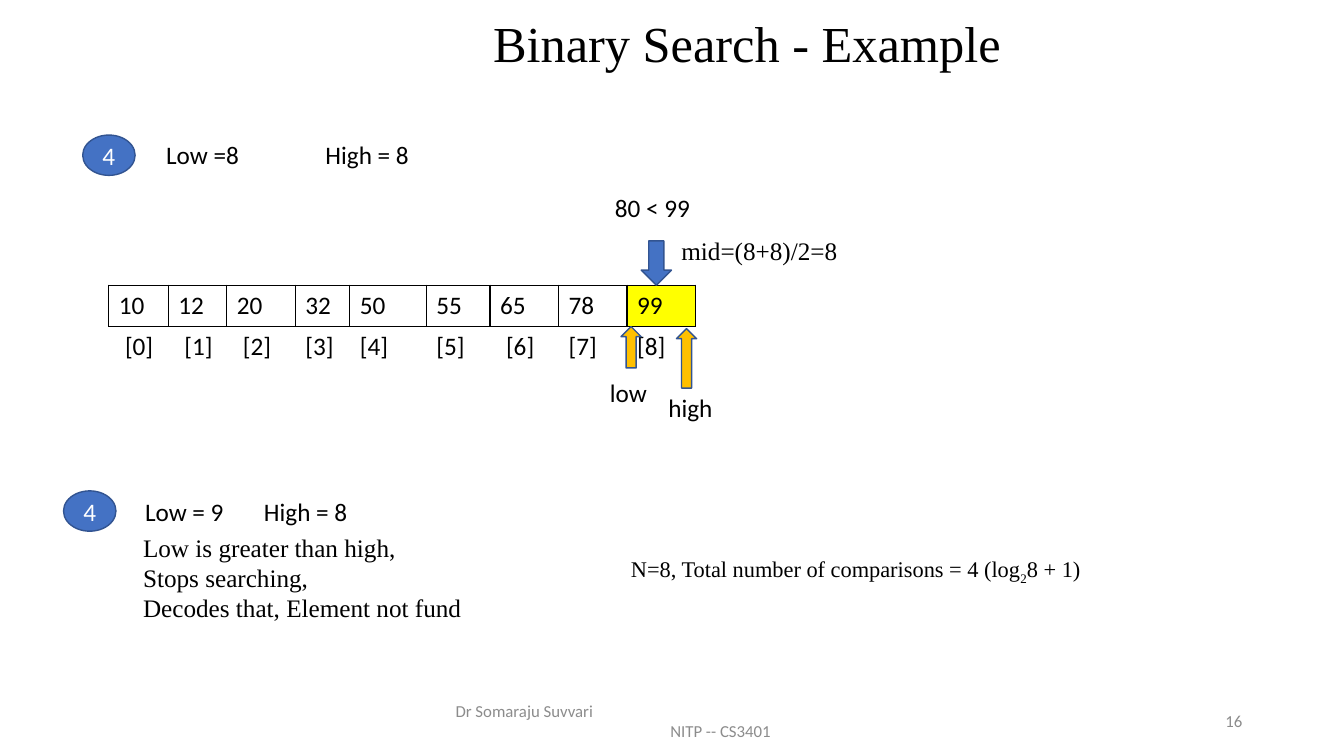
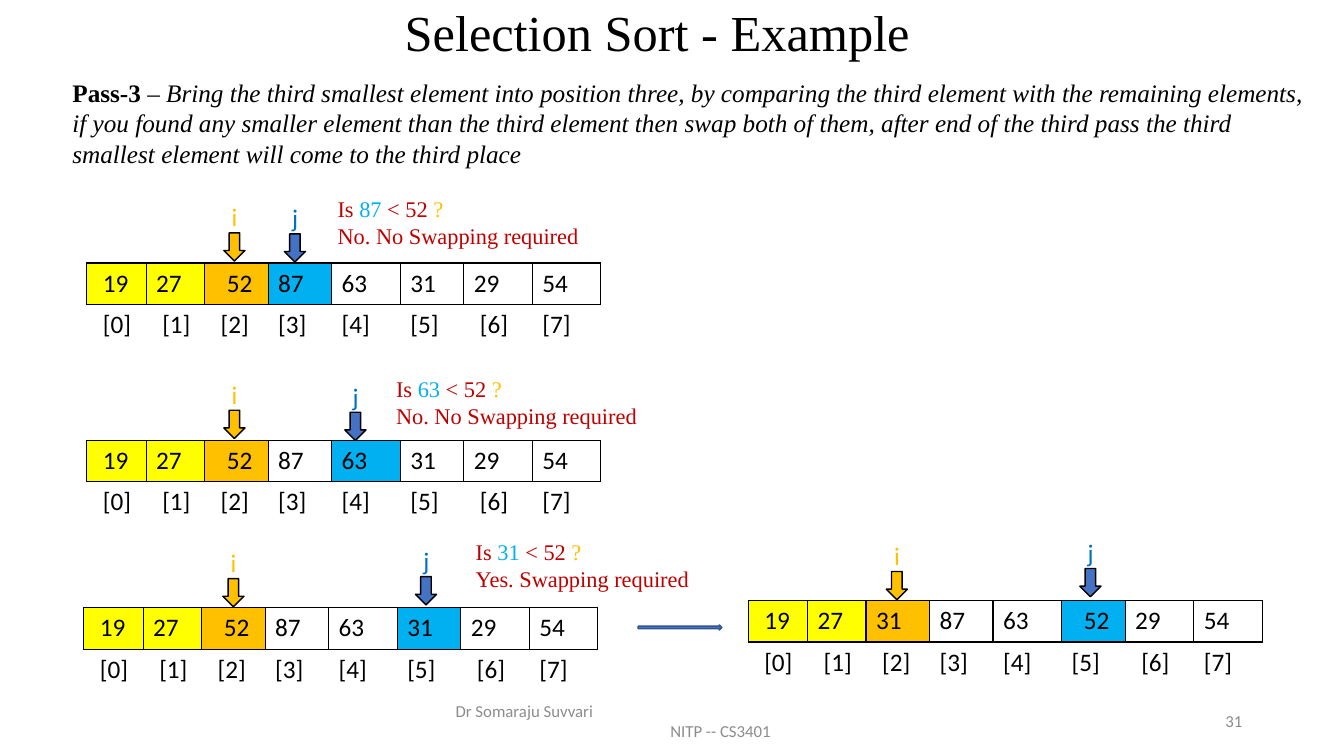
import pptx
import pptx.dml.color
import pptx.enum.shapes
import pptx.enum.text
import pptx.oxml
import pptx.oxml.ns
import pptx.util
from pptx.util import Inches

SHAPE = pptx.enum.shapes.MSO_SHAPE
ALIGN = pptx.enum.text.PP_ALIGN
ANCHOR = pptx.enum.text.MSO_ANCHOR

SANS, SERIF = "Calibri", "Times New Roman"
BLACK, WHITE, GREY = "000000", "FFFFFF", "8C8C8C"
BLUE, NAVY, SKY, MARKER_BLUE = "4472C4", "325491", "00B0F0", "0070C0"
YELLOW, ORANGE, RED = "FFFF00", "FFC000", "C00000"

PLAIN_TABLE_STYLE = "{2D5ABB26-0587-4C30-8999-92F81FD0307C}"
LINE_HEIGHT = 0.4
ROW_HEIGHT = 0.41
SPACE_WIDTH = 0.06


def rgb(value):
    return pptx.dml.color.RGBColor.from_string(value)


class Deck:
    """Holds the presentation, its style and the slide being filled."""

    def __init__(self):
        self.presentation = pptx.Presentation()
        self.presentation.slide_width = Inches(13.33)
        self.presentation.slide_height = Inches(7.5)
        self.slide = None

    def add_slide(self, title, box, number):
        layout = self.presentation.slide_layouts.get_by_name("Title Only")
        self.slide = self.presentation.slides.add_slide(layout)
        shape = self.slide.shapes.title
        shape.left, shape.top, shape.width, shape.height = map(Inches, box)
        frame = shape.text_frame
        frame.text = title
        frame.vertical_anchor = ANCHOR.MIDDLE
        paragraph = frame.paragraphs[0]
        paragraph.alignment = ALIGN.CENTER
        paragraph.line_spacing = 0.9
        self.style(paragraph, 36, SERIF, BLACK)
        self.footer(number)

    def style(self, paragraph, size, font, color):
        paragraph.font.size = pptx.util.Pt(size)
        paragraph.font.name = font
        if color:
            paragraph.font.color.rgb = rgb(color)

    def text(self, left, top, width, paragraphs, size=18, font=SANS, color=BLACK,
             height=LINE_HEIGHT, align=ALIGN.LEFT, anchor=ANCHOR.TOP):
        """Add a text box; a paragraph is a string or a list of (text, run style)."""
        shape = self.slide.shapes.add_textbox(*map(Inches, (left, top, width, height)))
        frame = shape.text_frame
        frame.word_wrap = True
        frame.vertical_anchor = anchor
        for index, content in enumerate(paragraphs):
            paragraph = frame.paragraphs[0] if index == 0 else frame.add_paragraph()
            paragraph.alignment = align
            runs = [(content, {})] if isinstance(content, str) else content
            for words, look in runs:
                run = paragraph.add_run()
                run.text = words
                if "color" in look:
                    run.font.color.rgb = rgb(look["color"])
                if "baseline" in look:
                    run.font._element.set("baseline", look["baseline"])
                run.font.bold = look.get("bold")
                run.font.italic = look.get("italic")
            self.style(paragraph, size, font, color)
        return frame

    def footer(self, number):
        frame = self.text(4.42, 6.95, 4.5, ["Dr Somaraju Suvvari", "NITP -- CS3401"],
                          size=12, color=GREY, anchor=ANCHOR.MIDDLE)
        course = frame.paragraphs[1]
        course._p.get_or_add_pPr().set("marL", str(Inches(2.13)))
        self.text(9.42, 6.95, 3, [str(number)], size=12, color=GREY,
                  align=ALIGN.RIGHT, anchor=ANCHOR.MIDDLE)

    def shape(self, kind, left, top, width, height, fill=BLUE, line=NAVY):
        shape = self.slide.shapes.add_shape(
            kind, *map(Inches, (left, top, width, height)))
        shape.shadow.inherit = False
        shape.fill.solid()
        shape.fill.fore_color.rgb = rgb(fill)
        shape.line.color.rgb = rgb(line)
        shape.line.width = pptx.util.Pt(1)
        return shape

    def step_badge(self, left, top, label):
        frame = self.shape(SHAPE.OVAL, left, top, 0.52, 0.4).text_frame
        frame.text = label
        frame.vertical_anchor = ANCHOR.MIDDLE
        frame.paragraphs[0].alignment = ALIGN.CENTER
        self.style(frame.paragraphs[0], 18, SANS, WHITE)

    def border(self, cell, sides):
        properties = cell._tc.get_or_add_tcPr()
        for side in sides:
            properties.append(pptx.oxml.parse_xml(
                f'<a:ln{side} {pptx.oxml.ns.nsdecls("a")} w="12700"><a:solidFill>'
                f'<a:srgbClr val="{BLACK}"/></a:solidFill></a:ln{side}>'))

    def cell(self, cell, label, sides, indent, fill=None):
        cell.text = label
        cell.margin_left = Inches(0.1 + indent * SPACE_WIDTH)
        self.border(cell, sides)
        if fill:
            cell.fill.solid()
            cell.fill.fore_color.rgb = rgb(fill)
        else:
            cell.fill.background()
        self.style(cell.text_frame.paragraphs[0], 18, SANS, BLACK)

    def array(self, left, top, widths, values, fills, indents):
        """Draw the values as boxed cells above a row of their indexes.

        fills maps a column to its colour, indents to its extra spaces.
        """
        frame = self.slide.shapes.add_table(
            2, len(values), Inches(left), Inches(top),
            Inches(sum(widths)), Inches(2 * ROW_HEIGHT))
        table = frame.table
        table.first_row = table.horz_banding = False
        table._tbl.tblPr.find(pptx.oxml.ns.qn("a:tableStyleId")).text = PLAIN_TABLE_STYLE
        for row in table.rows:
            row.height = Inches(ROW_HEIGHT)
        for column, (width, value) in enumerate(zip(widths, values)):
            table.columns[column].width = Inches(width)
            self.cell(table.cell(0, column), str(value), "LRTB",
                      indents.get(column, 0), fills.get(column, WHITE))
            self.cell(table.cell(1, column), f"[{column}]", "T",
                      int(column in (0, 1, 2, 6)))

    def marker(self, label, left, top, arrow_color, text_color):
        self.shape(SHAPE.DOWN_ARROW, left, top, 0.21, 0.28, arrow_color, BLACK)
        self.text(left - 0.02, top - 0.36, 0.4, [label], color=text_color)

    def question(self, left, top, candidate, answer):
        self.text(left, top, 2.83, [
            [("Is ", {"color": RED}), (f"{candidate} ", {"color": SKY}),
             ("< 52 ", {"color": RED}), ("?", {"color": ORANGE})],
            [(f"{answer} Swapping required", {"color": RED})],
        ], size=16, font=SERIF, color=None, height=0.64)


def binary_search(deck):
    deck.add_slide("Binary Search - Example", (3.13, 0.1, 8.56, 0.71), 16)
    deck.step_badge(0.82, 1.34, "4")
    deck.text(1.55, 1.33, 1.73, ["Low =8"])
    deck.text(3.13, 1.33, 1.94, ["High = 8"])

    deck.array(1.08, 2.83, [0.59, 0.58, 0.68, 0.54, 0.76, 0.63, 0.68, 0.68, 0.68],
               [10, 12, 20, 32, 50, 55, 65, 78, 99], {8: YELLOW}, {})
    deck.shape(SHAPE.DOWN_ARROW, 6.36, 2.39, 0.3, 0.44)
    deck.text(6, 1.86, 1.01, ["80 < 99"])
    deck.text(6.66, 2.29, 1.83, ["mid=(8+8)/2=8"], font=SERIF)
    deck.shape(SHAPE.UP_ARROW, 6.16, 3.24, 0.2, 0.41, ORANGE)
    deck.text(5.95, 3.69, 0.62, ["low"])
    deck.shape(SHAPE.UP_ARROW, 6.71, 3.26, 0.2, 0.59, ORANGE)
    deck.text(6.53, 3.84, 0.75, ["high"])

    deck.step_badge(0.63, 4.87, "4")
    deck.text(1.34, 4.87, 1.14, ["Low = 9"])
    deck.text(2.52, 4.87, 1.23, ["High = 8"])
    deck.text(1.32, 5.23, 5.01, [
        "Low is greater than high,", "Stops searching,",
        "Decodes that, Element not fund"], font=SERIF, height=1.01)
    deck.text(6.16, 5.46, 5.03, [[
        ("N=8, Total number of comparisons = 4 (log", {}),
        ("2", {"baseline": "-25000"}), ("8 + 1)", {})]], size=16, font=SERIF)


def selection_sort(deck):
    deck.add_slide("Selection Sort - Example", (2.15, 0.1, 8.74, 0.5), 31)
    deck.text(0.62, 0.72, 12.5, [[
        ("Pass-3 ", {"bold": True}), ("– ", {}),
        ("Bring the third smallest element into position three, by comparing the "
         "third element with the remaining elements, if you found any smaller "
         "element than the third element then swap both of them, after end of the "
         "third pass the third smallest element will come to the third place",
         {"italic": True})]], font=SERIF, height=1.01)

    widths = [0.59, 0.58, 0.63, 0.63, 0.68, 0.63, 0.68, 0.68]
    before = [19, 27, 52, 87, 63, 31, 29, 54]
    after = [19, 27, 31, 87, 63, 52, 29, 54]
    # Array corner, values, compared column, then the corners of the i and j arrows
    states = [
        (0.86, 2.61, before, 3, (2.22, 2.31), (2.82, 2.32)),
        (0.86, 4.37, before, 4, (2.22, 4.07), (3.42, 4.09)),
        (0.83, 6.03, before, 5, (2.21, 5.74), (4.12, 5.72)),
        (7.42, 5.96, after, 5, (8.79, 5.67), (10.71, 5.64)),
    ]
    for left, top, values, compared, i_corner, j_corner in states:
        fills = {0: YELLOW, 1: YELLOW, 2: ORANGE, compared: SKY}
        deck.array(left, top, widths, values, fills, {0: 1, values.index(52): 2})
        deck.marker("i", *i_corner, ORANGE, ORANGE)
        deck.marker("j", *j_corner, BLUE, MARKER_BLUE)

    deck.question(3.25, 1.89, 87, "No. No")
    deck.question(3.83, 3.67, 63, "No. No")
    deck.question(4.62, 5.29, 31, "Yes.")
    deck.shape(SHAPE.RIGHT_ARROW, 6.33, 6.2, 0.83, 0.05)


def main():
    deck = Deck()
    binary_search(deck)
    selection_sort(deck)
    deck.presentation.save("out.pptx")


if __name__ == "__main__":
    main()
